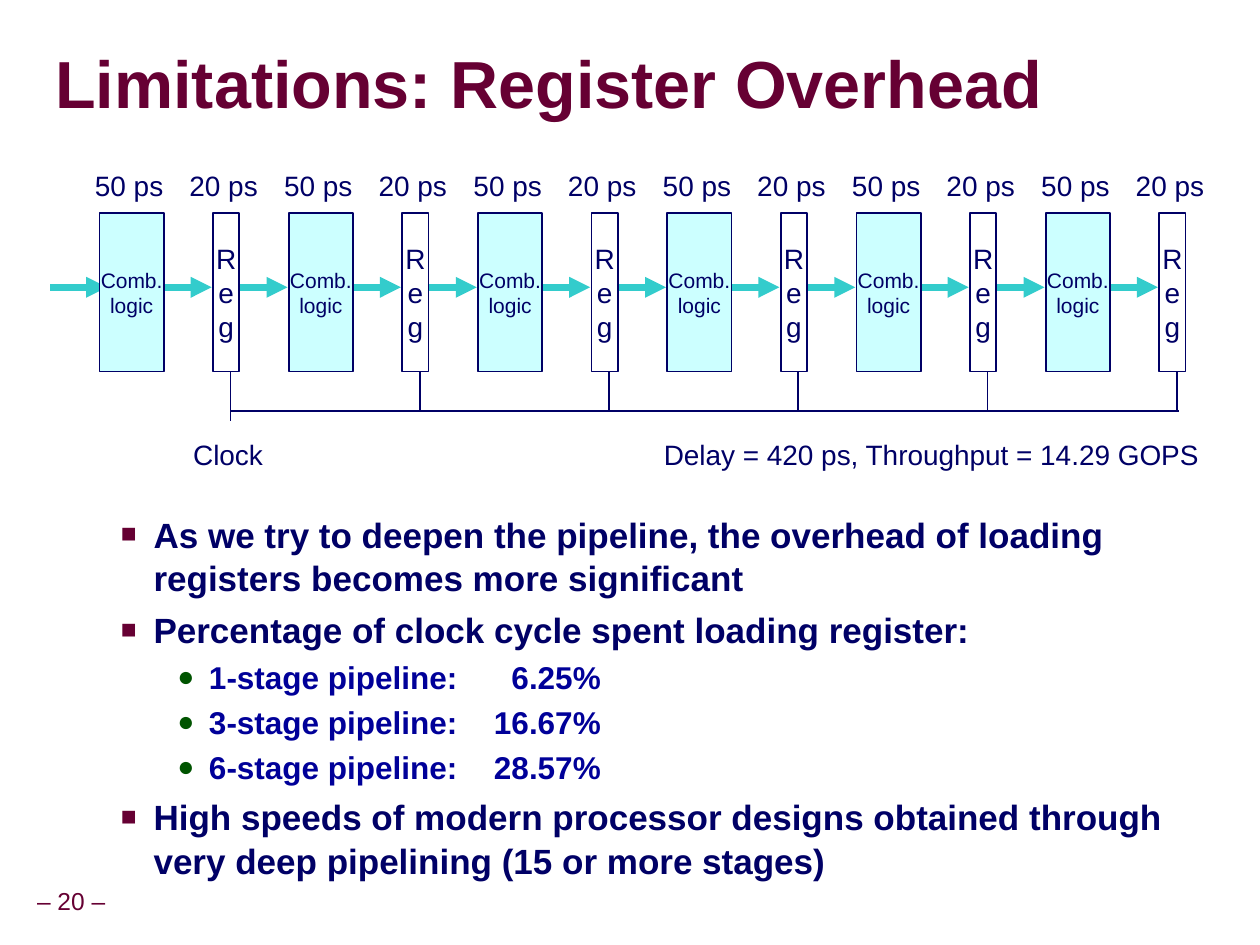
from lxml import etree
from pptx import Presentation
from pptx.dml.color import RGBColor
from pptx.enum.shapes import MSO_CONNECTOR, MSO_SHAPE
from pptx.enum.text import MSO_ANCHOR, PP_ALIGN
from pptx.oxml import parse_xml
from pptx.oxml.ns import nsdecls, qn
from pptx.util import Inches, Pt

STRAIGHT = MSO_CONNECTOR.STRAIGHT
RECTANGLE = MSO_SHAPE.RECTANGLE
MIDDLE, TOP = MSO_ANCHOR.MIDDLE, MSO_ANCHOR.TOP
CENTER, LEFT = PP_ALIGN.CENTER, PP_ALIGN.LEFT

COLORS = {
    "maroon": "660033", "navy": "000066", "blue": "000099", "green": "005400",
    "teal": "33CCCC", "pale": "CCFFFF", "white": "FFFFFF",
}
TITLE = "Limitations: Register Overhead"
PAGE_NUMBER = "– 20 –"
CLOCK = "Clock"
RESULT = "Delay = 420 ps, Throughput = 14.29 GOPS"
BULLETS = [
    (1, "As we try to deepen the pipeline, the overhead of loading registers becomes more significant"),
    (1, "Percentage of clock cycle spent loading register:"),
    (2, "1-stage pipeline: \t6.25%"),
    (2, "3-stage pipeline: \t16.67%"),
    (2, "6-stage pipeline: \t28.57%"),
    (1, "High speeds of modern processor designs obtained through very deep pipelining (15 or more stages)"),
]
LEVELS = {
    1: {"size": 20, "color": "navy", "mark": "■", "mark_color": "maroon", "mark_size": 75,
        "margin": 0.8, "hanging": 0.26, "before": 4.6, "spacing": 1.04},
    2: {"size": 18, "color": "blue", "mark": "●", "mark_color": "green", "mark_size": 90,
        "margin": 1.24, "hanging": 0.25, "before": 2.7, "spacing": 1.07},
}
DECIMAL_TAB = 3.78

# Each stage holds one logic block and one register
STAGES, PITCH = 6, 1.502
BLOCKS = [
    {"lines": ["Comb.", "logic"], "left": 0.79, "width": 0.51, "fill": "pale", "size": 12,
     "time": "50 ps", "time_left": 0.66},
    {"lines": ["R", "e", "g"], "left": 1.69, "width": 0.21, "fill": "white", "size": 16,
     "time": "20 ps", "time_left": 1.41},
]
BLOCK_TOP, BLOCK_HEIGHT = 1.69, 1.26
ARROW_Y, ARROW_LENGTH = 2.28, 0.45
INPUT_LEFT, TO_LOGIC, TO_REGISTER = 0.4, 0.33, 1.23
CLOCK_LEFT, CLOCK_RIGHT, CLOCK_Y = 1.83, 9.36, 3.26


def color(name):
    return RGBColor.from_string(COLORS[name])


def set_values(target, values):
    for name, value in values.items():
        setattr(target, name, value)


def set_frame(frame, margins, anchor=TOP, wrap=False):
    left, top = (Inches(value) for value in margins)
    set_values(frame, {"margin_left": left, "margin_right": left, "margin_top": top,
                       "margin_bottom": top, "vertical_anchor": anchor, "word_wrap": wrap})


def write(frame, lines, size, color_name="navy", bold=False, align=LEFT, spacing=None):
    for index, line in enumerate(lines):
        paragraph = frame.paragraphs[0] if index == 0 else frame.add_paragraph()
        run = paragraph.add_run()
        run.text = line
        set_values(paragraph, {"alignment": align, "line_spacing": spacing})
        set_values(run.font, {"name": "Arial", "size": Pt(size), "bold": bold})
        run.font.color.rgb = color(color_name)


def add_text(slide, box, lines, size, margins=(0.1, 0.05), anchor=TOP, wrap=False, **style):
    shape = slide.shapes.add_textbox(*map(Inches, box))
    set_frame(shape.text_frame, margins, anchor, wrap)
    write(shape.text_frame, lines, size, **style)
    return shape


def add_line(slide, start, end, color_name="navy", width=1, arrow=False):
    line = slide.shapes.add_connector(STRAIGHT, *map(Inches, (*start, *end)))
    line.line.color.rgb = color(color_name)
    line.line.width = Pt(width)
    if arrow:
        etree.SubElement(line.line._get_or_add_ln(), qn("a:tailEnd"), type="triangle")
    etree.SubElement(line._element.spPr, qn("a:effectLst"))


def add_title(slide):
    shape = add_text(slide, (0.44, 0.27, 9.53, 0.85), [TITLE], 38, (0, 0), MIDDLE, True,
                     color_name="maroon", bold=True, spacing=0.87)
    fill = shape.text_frame.paragraphs[0].runs[0].font._element.find(qn("a:solidFill"))
    fill.addnext(parse_xml(
        f'<a:effectLst {nsdecls("a")}><a:outerShdw blurRad="38100" dist="38100" dir="2700000">'
        '<a:srgbClr val="C0C0C0"/></a:outerShdw></a:effectLst>'))


def add_arrows(slide):
    starts = [INPUT_LEFT]
    starts += [TO_LOGIC + PITCH * stage for stage in range(1, STAGES)]
    starts += [TO_REGISTER + PITCH * stage for stage in range(STAGES)]
    for left in starts:
        add_line(slide, (left, ARROW_Y), (left + ARROW_LENGTH, ARROW_Y), "teal", 4, True)


def add_block(slide, block, offset):
    box = (block["left"] + offset, BLOCK_TOP, block["width"], BLOCK_HEIGHT)
    shape = slide.shapes.add_shape(RECTANGLE, *map(Inches, box))
    shape.shadow.inherit = False
    shape.fill.solid()
    shape.fill.fore_color.rgb = color(block["fill"])
    shape.line.color.rgb = color("navy")
    shape.line.width = Pt(1)
    set_frame(shape.text_frame, (0.09, 0.05), MIDDLE)
    write(shape.text_frame, block["lines"], block["size"], align=CENTER)
    add_text(slide, (block["time_left"] + offset, 1.29, 0.73, 0.36), [block["time"]], 16,
             (0.09, 0.05), align=CENTER)


def add_pipeline(slide):
    add_arrows(slide)
    for stage in range(STAGES):
        offset = PITCH * stage
        for block in BLOCKS:
            add_block(slide, block, offset)
        tick_end = CLOCK_Y if stage else CLOCK_Y + 0.08
        tick_x = CLOCK_LEFT + offset
        add_line(slide, (tick_x, BLOCK_TOP + BLOCK_HEIGHT), (tick_x, tick_end))
    add_line(slide, (CLOCK_LEFT, CLOCK_Y), (CLOCK_RIGHT, CLOCK_Y))
    add_text(slide, (1.42, 3.42, 0.78, 0.37), [CLOCK], 16, align=CENTER)
    add_text(slide, (5.17, 3.42, 4.47, 0.37), [RESULT], 16)


def add_bullet(paragraph, level):
    """Give the paragraph its mark, hanging indent and decimal tab."""
    properties = paragraph._p.get_or_add_pPr()
    properties.set("marL", str(Inches(level["margin"])))
    properties.set("indent", str(-Inches(level["hanging"])))
    mark_color = etree.SubElement(properties, qn("a:buClr"))
    etree.SubElement(mark_color, qn("a:srgbClr"), val=COLORS[level["mark_color"]])
    etree.SubElement(properties, qn("a:buSzPct"), val=str(level["mark_size"] * 1000))
    etree.SubElement(properties, qn("a:buFont"), typeface="Arial")
    etree.SubElement(properties, qn("a:buChar"), char=level["mark"])
    tabs = etree.SubElement(properties, qn("a:tabLst"))
    etree.SubElement(tabs, qn("a:tab"), pos=str(Inches(DECIMAL_TAB)), algn="dec")


def add_bullets(slide):
    shape = slide.shapes.add_textbox(*map(Inches, (0.32, 4.01, 9.08, 3.04)))
    frame = shape.text_frame
    set_frame(frame, (0.1, 0.05), wrap=True)
    for index, (depth, text) in enumerate(BULLETS):
        level = LEVELS[depth]
        paragraph = frame.add_paragraph() if index else frame.paragraphs[0]
        add_bullet(paragraph, level)
        set_values(paragraph, {"level": depth, "line_spacing": level["spacing"],
                               "space_before": Pt(level["before"] if index else 0)})
        run = paragraph.add_run()
        run.text = text
        set_values(run.font, {"name": "Arial", "size": Pt(level["size"]), "bold": True})
        run.font.color.rgb = color(level["color"])


def main():
    presentation = Presentation()
    presentation.slide_width, presentation.slide_height = Inches(10), Inches(7.5)
    slide = presentation.slides.add_slide(presentation.slide_layouts[6])
    add_text(slide, (0.23, 7, 0.67, 0.32), [PAGE_NUMBER], 14, (0.05, 0.05), MIDDLE,
             color_name="maroon", align=CENTER, spacing=0.9)
    add_title(slide)
    add_bullets(slide)
    add_pipeline(slide)
    presentation.save("out.pptx")


if __name__ == "__main__":
    main()
